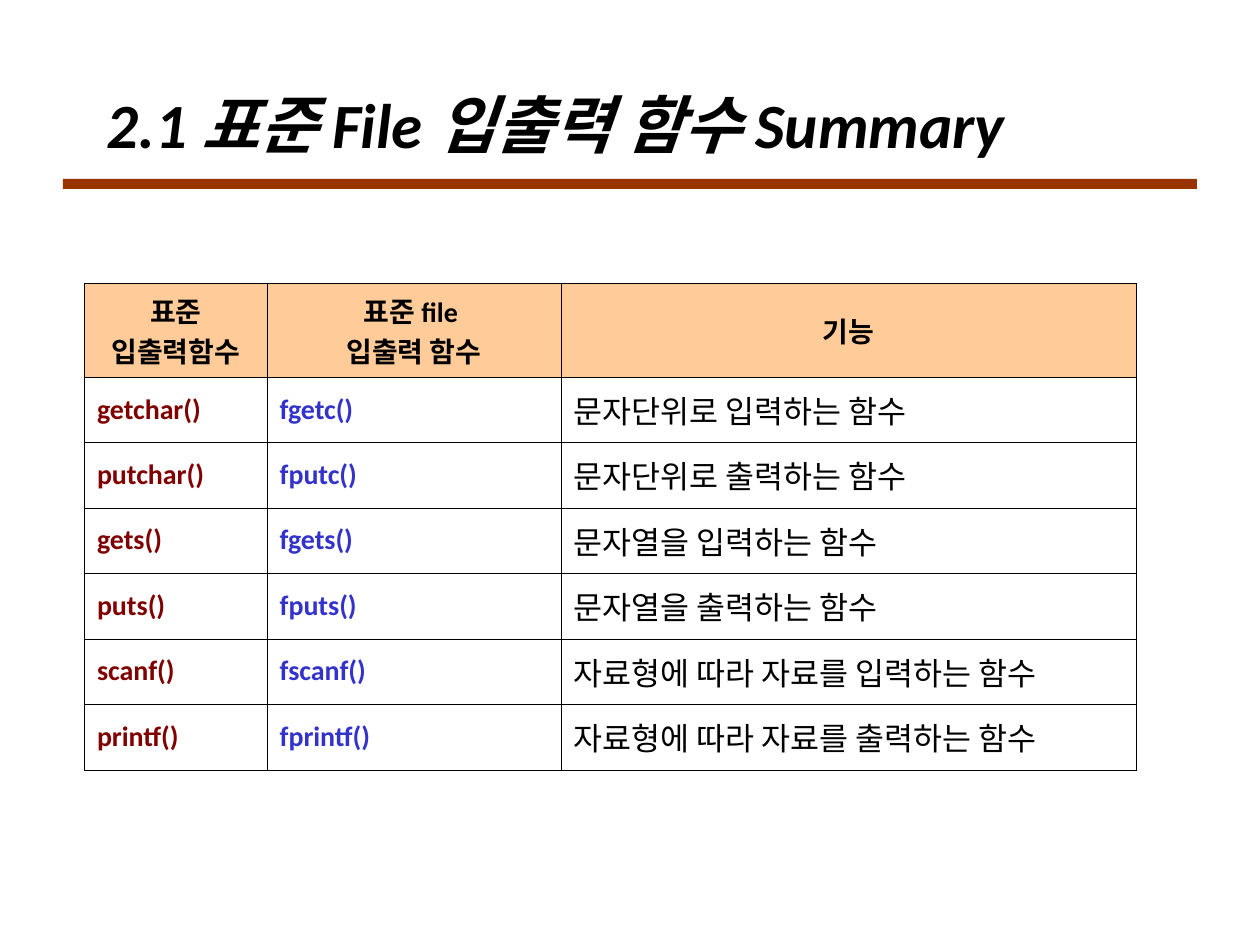
from lxml import etree
from pptx import Presentation
from pptx.dml.color import RGBColor
from pptx.enum.shapes import MSO_SHAPE
from pptx.enum.text import MSO_ANCHOR, PP_ALIGN
from pptx.oxml.ns import qn
from pptx.util import Inches, Pt

RECTANGLE = MSO_SHAPE.RECTANGLE
MIDDLE = MSO_ANCHOR.MIDDLE
LEFT, CENTER, JUSTIFY = PP_ALIGN.LEFT, PP_ALIGN.CENTER, PP_ALIGN.JUSTIFY

FONT = "Calibri"
COLORS = {
    "text": "000000",
    "rule": "993300",
    "header": "FFCC99",
    "body": "FFFFFF",
    "standard": "800000",
    "file": "3333CC",
}

TITLE = "2.1 표준 File 입출력 함수 Summary"
HEADERS = ["표준\n입출력함수", "표준 file \n입출력 함수", "기능"]
FUNCTIONS = [
    ("getchar()", "fgetc() ", "문자단위로 입력하는 함수"),
    ("putchar()", "fputc() ", "문자단위로 출력하는 함수"),
    ("gets()", "fgets()", "문자열을 입력하는 함수"),
    ("puts()", "fputs()", "문자열을 출력하는 함수"),
    ("scanf()", "fscanf()", "자료형에 따라 자료를 입력하는 함수"),
    ("printf()", "fprintf()", "자료형에 따라 자료를 출력하는 함수"),
]
# Size, colour and bold of each body column
COLUMN_STYLES = [(16, "standard", True), (16, "file", True), (18, "text", False)]

COLUMN_WIDTHS = [1.45, 2.33, 4.57]
HEADER_HEIGHT, ROW_HEIGHT = 0.74, 0.52
TABLE_LEFT, TABLE_TOP = 0.67, 2.25
BORDER_WIDTH = Pt(0.06)


def rgb(name):
    return RGBColor.from_string(COLORS[name])


def write(frame, text, size, color, bold, align, italic=False):
    frame.text = text
    for paragraph in frame.paragraphs:
        paragraph.alignment = align
        font = paragraph.font
        font.name, font.size = FONT, Pt(size)
        font.bold, font.italic = bold, italic
        font.color.rgb = rgb(color)


def add_borders(cell):
    properties = cell._tc.get_or_add_tcPr()
    for position, side in enumerate(("a:lnL", "a:lnR", "a:lnT", "a:lnB")):
        line = etree.Element(qn(side), w=str(BORDER_WIDTH))
        fill = etree.SubElement(line, qn("a:solidFill"))
        etree.SubElement(fill, qn("a:srgbClr"), val=COLORS["text"])
        properties.insert(position, line)


def fill_cell(cell, text, background, size, color, bold, align):
    cell.vertical_anchor = MIDDLE
    cell.fill.solid()
    cell.fill.fore_color.rgb = rgb(background)
    add_borders(cell)
    write(cell.text_frame, text, size, color, bold, align)


def add_title(slide):
    rule = slide.shapes.add_shape(
        RECTANGLE, Inches(0.5), Inches(1.42), Inches(9), Inches(0.08))
    rule.shadow.inherit = False
    rule.fill.solid()
    rule.fill.fore_color.rgb = rgb("rule")
    rule.line.fill.background()

    title = slide.shapes.add_textbox(
        Inches(0.75), Inches(0.52), Inches(8.5), Inches(0.92))
    title.text_frame.word_wrap = True
    title.text_frame.vertical_anchor = MIDDLE
    write(title.text_frame, TITLE, 36, "text", True, LEFT, italic=True)


def add_function_table(slide):
    heights = [HEADER_HEIGHT] + [ROW_HEIGHT] * len(FUNCTIONS)
    table = slide.shapes.add_table(
        len(heights), len(COLUMN_WIDTHS), Inches(TABLE_LEFT), Inches(TABLE_TOP),
        Inches(sum(COLUMN_WIDTHS)), Inches(sum(heights))).table
    for column, width in zip(table.columns, COLUMN_WIDTHS):
        column.width = Inches(width)
    for row, height in zip(table.rows, heights):
        row.height = Inches(height)

    for column, header in enumerate(HEADERS):
        fill_cell(table.cell(0, column), header, "header", 16, "text", True, CENTER)
    for row, entries in enumerate(FUNCTIONS, start=1):
        for column, (entry, style) in enumerate(zip(entries, COLUMN_STYLES)):
            fill_cell(table.cell(row, column), entry, "body", *style, JUSTIFY)


def main():
    presentation = Presentation()
    presentation.slide_width, presentation.slide_height = Inches(10), Inches(7.5)
    slide = presentation.slides.add_slide(presentation.slide_layouts[6])
    add_title(slide)
    add_function_table(slide)
    presentation.save("out.pptx")


if __name__ == "__main__":
    main()
